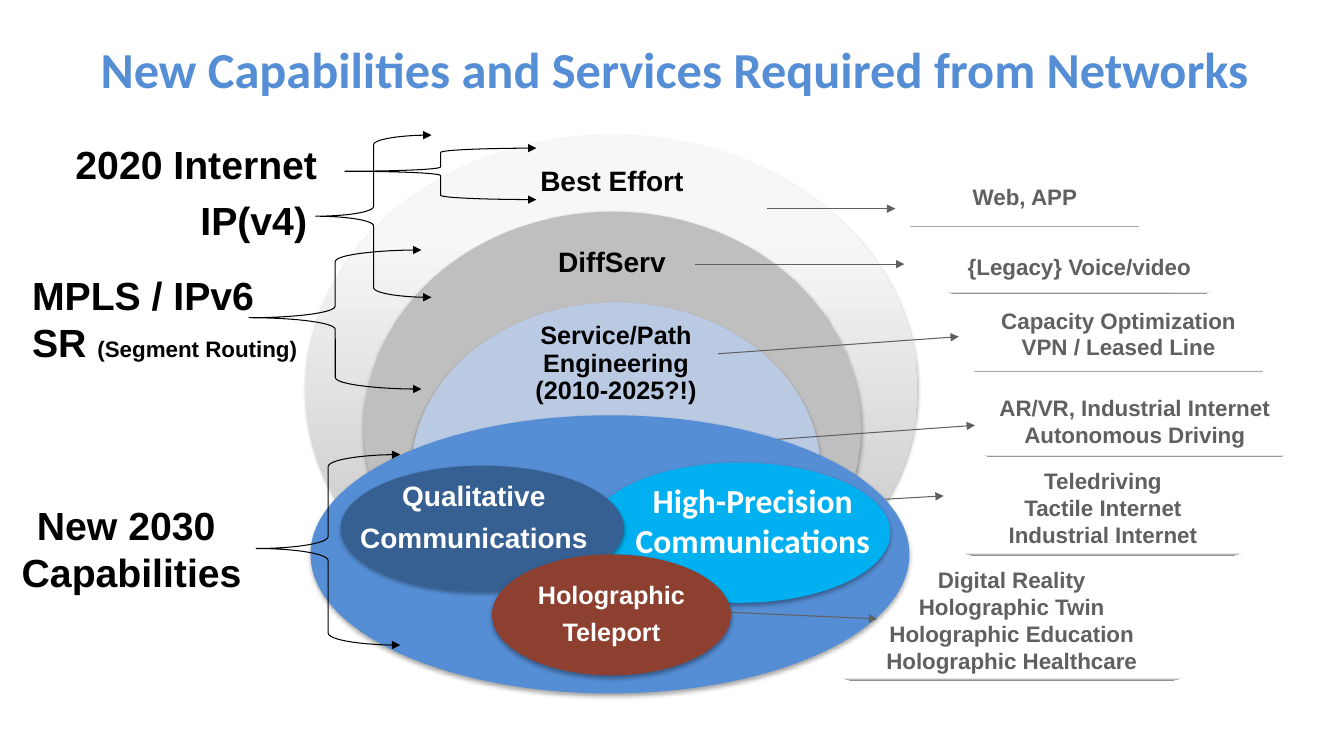
from lxml import etree
from pptx import Presentation
from pptx.dml.color import RGBColor
from pptx.enum.shapes import MSO_CONNECTOR, MSO_SHAPE
from pptx.enum.text import MSO_ANCHOR, PP_ALIGN
from pptx.oxml.ns import qn
from pptx.util import Inches, Pt

STRAIGHT = MSO_CONNECTOR.STRAIGHT
OVAL, BRACE, ROUNDED = MSO_SHAPE.OVAL, MSO_SHAPE.LEFT_BRACE, MSO_SHAPE.ROUNDED_RECTANGLE
TOP, MIDDLE = MSO_ANCHOR.TOP, MSO_ANCHOR.MIDDLE
LEFT, CENTER = PP_ALIGN.LEFT, PP_ALIGN.CENTER

BLACK, WHITE, GREY, BLUE = "000000", "FFFFFF", "606060", "558ED5"
CELL = 0.1  # inches per grid column and per grid row


def grid(*cells):
    return [Inches(round(cell * CELL, 3)) for cell in cells]


def color(hex_string):
    return RGBColor.from_string(hex_string)


def write(shape, lines, size=16, ink=BLACK, font="Arial", align=CENTER, anchor=MIDDLE,
          spacing=None, after=0, wrap=True, inset=(1, 0.5)):
    """Fill a shape with lines; a line is a string or a list of (text, size) runs."""
    frame = shape.text_frame
    frame.word_wrap = wrap
    frame.vertical_anchor = anchor
    frame.margin_left, frame.margin_top = grid(*inset)
    frame.margin_right = frame.margin_left
    for index, line in enumerate(lines):
        paragraph = frame.add_paragraph() if index else frame.paragraphs[0]
        paragraph.alignment = align
        paragraph.line_spacing = spacing
        paragraph.space_after = Pt(after)
        for text, run_size in [(line, size)] if isinstance(line, str) else line:
            run = paragraph.add_run()
            run.text = text
            run.font.name, run.font.size, run.font.bold = font, Pt(run_size), True
            run.font.color.rgb = color(ink)


def paint(shape, fill):
    """Fill with one colour, or downwards with two (position, colour) stops."""
    if isinstance(fill, str):
        shape.fill.solid()
        shape.fill.fore_color.rgb = color(fill)
        return
    shape.fill.gradient()
    shape.fill.gradient_angle = 270
    for stop, (position, shade) in zip(shape.fill.gradient_stops, fill):
        stop.position = position
        stop.color.rgb = color(shade)


def draw_line(shape, ink, *arrow_ends):
    shape.line.color.rgb = color(ink)
    shape.line.width = Pt(0.75)
    outline = shape.element.spPr.find(qn("a:ln"))
    for end in arrow_ends:
        etree.SubElement(outline, qn(f"a:{end}"), type="triangle")


class CapabilitySlide:
    def __init__(self, presentation):
        self.shapes = presentation.slides.add_slide(presentation.slide_layouts[6]).shapes

    def text(self, box, lines, **style):
        write(self.shapes.add_textbox(*grid(*box)), lines, **style)

    def shape(self, kind, box):
        shape = self.shapes.add_shape(kind, *grid(*box))
        shape.shadow.inherit = False
        return shape

    def oval(self, box, fill):
        oval = self.shape(OVAL, box)
        paint(oval, fill)
        oval.line.fill.background()
        effects = oval.element.spPr.find(qn("a:effectLst"))
        shadow = etree.SubElement(effects, qn("a:outerShdw"), blurRad=str(Pt(3.1)),
                                  dist=str(Pt(1.8)), dir="5400000", rotWithShape="0")
        shade = etree.SubElement(shadow, qn("a:srgbClr"), val=BLACK)
        etree.SubElement(shade, qn("a:alpha"), val="35000")
        return oval

    def service(self, box, lines, top=0.5):
        """Add a label whose only visible edge is a thin grey one at the bottom."""
        label = self.shape(ROUNDED, box)
        paint(label, [(0.98, WHITE), (1, "8F8F8F")])
        label.line.fill.background()
        write(label, lines, ink=GREY, inset=(1, top))

    def arrow(self, *ends):
        arrow = self.shapes.add_connector(STRAIGHT, *grid(*ends))
        draw_line(arrow, GREY, "tailEnd")
        etree.SubElement(arrow.element.spPr, qn("a:effectLst"))

    def brace(self, box, point=0.5):
        brace = self.shape(BRACE, box)
        brace.adjustments[1] = point
        brace.fill.background()
        draw_line(brace, BLACK, "headEnd", "tailEnd")


def main():
    presentation = Presentation()
    presentation.slide_width, presentation.slide_height = Inches(13.33), Inches(7.5)
    slide = CapabilitySlide(presentation)

    slide.text((4, 2.4, 125.9, 8.7), ["New Capabilities and Services Required from Networks"],
               size=36, ink=BLUE, font="Calibri")

    slide.service((94.6, 42.9, 29.6, 12.2),
                  ["Teledriving", "Tactile Internet", "Industrial Internet"], top=3.2)
    slide.service((97.1, 38.2, 30.9, 7.1), ["AR/VR, Industrial Internet", "Autonomous Driving"])

    layers = [
        ((30.4, 13.4, 60.6, 50.4), [(0.2, "F7F7F7"), (1, "BEBEBE")],
         (50.7, 15.6, 20, 5), ["Best Effort"], 20),
        ((36.1, 21, 49.3, 42.8), "BFBFBF", (50.7, 23.6, 20, 5), ["DiffServ"], 20),
        ((40.8, 30, 40.6, 33.5), "BACAE3", (51.1, 31.1, 20, 10),
         ["Service/Path", "Engineering", "(2010-2025?!)"], 18),
    ]
    for oval_box, fill, text_box, lines, size in layers:
        slide.oval(oval_box, fill)
        slide.text(text_box, lines, size=size, spacing=0.9)

    slide.service((95.8, 29.3, 30.3, 7.6), ["Capacity Optimization", "VPN / Leased Line"])
    slide.service((93.6, 23.8, 26.9, 5.3), ["{Legacy} Voice/video"])
    slide.service((89.7, 16.5, 23.9, 6), ["Web, APP"])
    slide.arrow(68.9, 26.2, 89.7, 26.2)
    slide.arrow(71.2, 35.1, 95.1, 33.4)
    slide.arrow(76.1, 20.7, 88.8, 20.7)
    slide.service((82.5, 55.5, 35.7, 12), ["Digital Reality", "Holographic Twin",
                                           "Holographic Education", "Holographic Healthcare"])

    slide.brace((31.3, 13.4, 11.5, 16.1))
    slide.brace((24.7, 24.8, 17.1, 13.8), 0.487)
    eras = [
        ((18.9, 19, 15.6, 5.7), ["IP(v4)"], LEFT),
        ((2.2, 26.4, 30.1, 10.4),
         ["MPLS / IPv6", [("SR ", 28), ("(Segment Routing)", 16)]], LEFT),
        ((-1.2, 49.2, 28.5, 10.4), ["New 2030 ", "Capabilities"], CENTER),
        ((6.5, 13.4, 30.5, 5.7), ["2020 Internet"], LEFT),
    ]
    for box, lines, align in eras:
        slide.text(box, lines, size=28, align=align, anchor=TOP)
    slide.arrow(81.2, 49.9, 93.6, 49.2)
    slide.arrow(59.9, 44.8, 96.7, 42.2)
    slide.brace((34.2, 14.7, 19, 5.1), 0.449)

    slide.oval((30.8, 41.2, 59.4, 27.6), BLUE)
    slide.oval((58.4, 45.9, 29.9, 13.9), "00B0F0")
    slide.oval((33.8, 46.2, 28.1, 12.4), "376092")
    slide.text((61.9, 47.1, 25.5, 9.1), ["High-Precision", "Communications"],
               size=24, ink=WHITE, font="Calibri", anchor=TOP, wrap=False)
    slide.text((34.5, 47.4, 25, 11.8), ["Qualitative", "Communications"],
               size=20, ink=WHITE, anchor=TOP, spacing=0.9, after=8)
    slide.arrow(55.7, 60, 87, 61.4)
    hologram = slide.oval((48.8, 55, 23.7, 12), "8E4030")
    write(hologram, ["Holographic", "Teleport"], size=18, ink=WHITE,
          spacing=0.9, after=7, inset=(0, 0.5))
    slide.brace((25.4, 45.1, 14.3, 18.9), 0.493)

    presentation.save("out.pptx")


if __name__ == "__main__":
    main()
